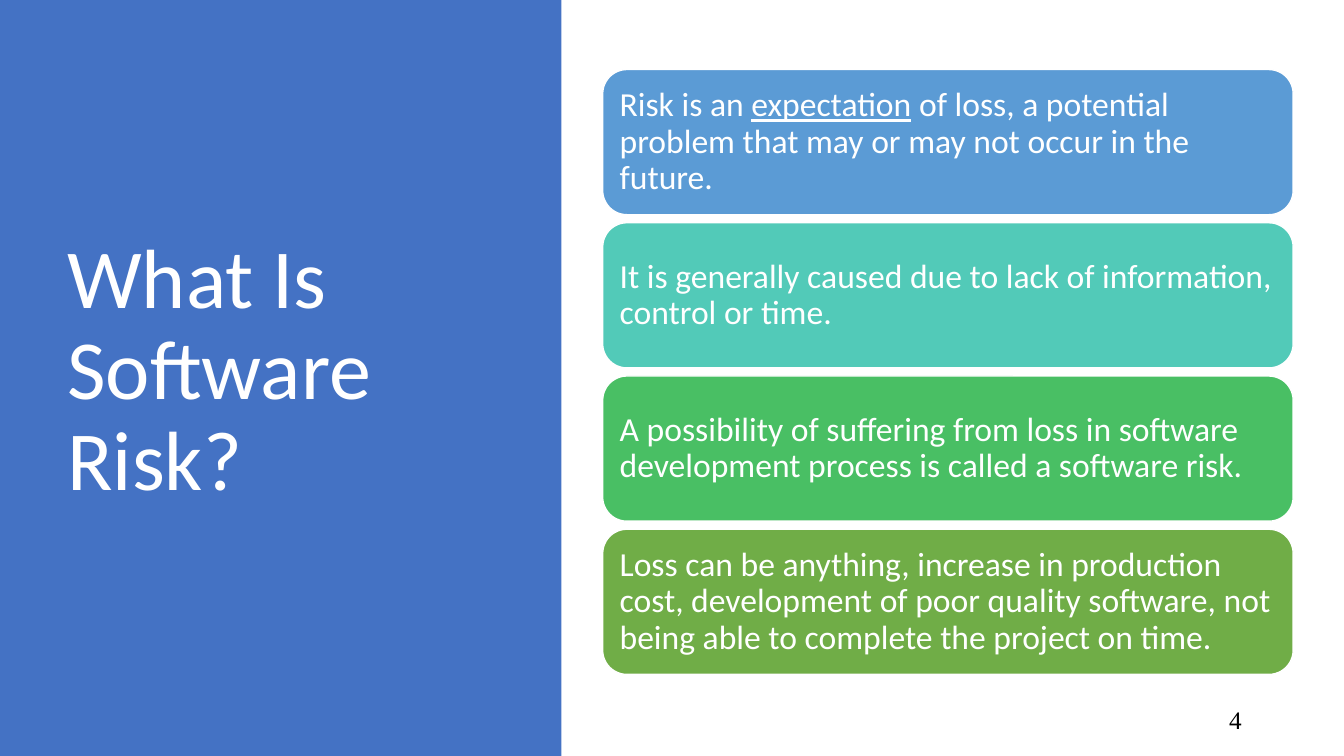
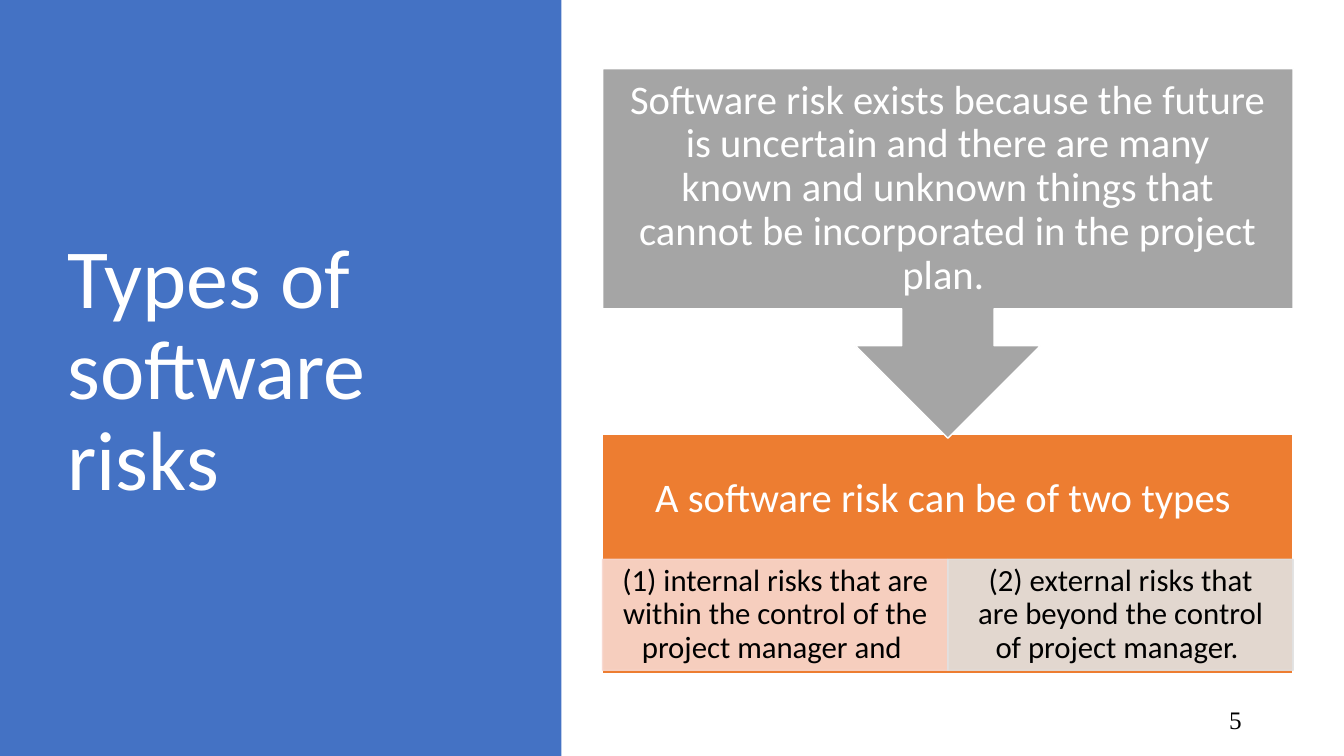
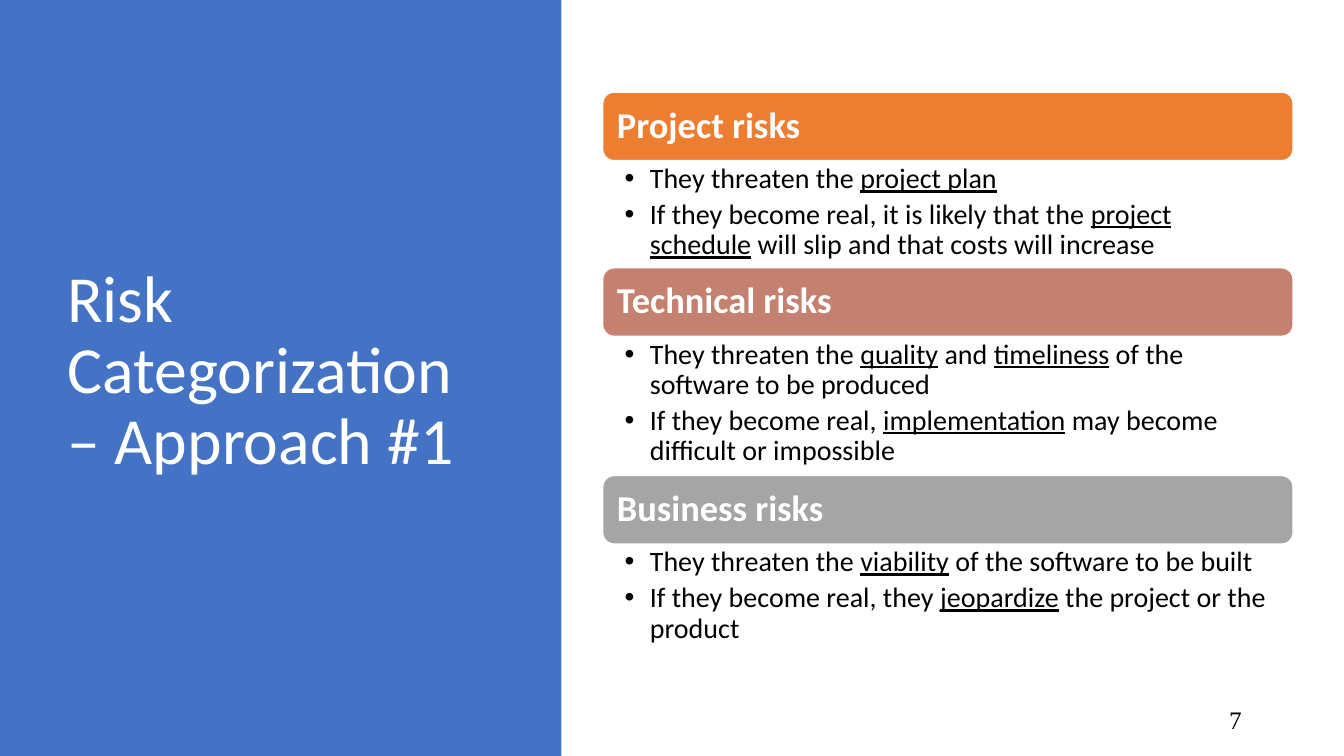
from dataclasses import dataclass

from lxml import etree
from pptx import Presentation
from pptx.dml.color import RGBColor
from pptx.enum.shapes import MSO_SHAPE
from pptx.enum.text import MSO_ANCHOR, PP_ALIGN
from pptx.oxml.ns import qn
from pptx.util import Pt

RECT, ROUND = MSO_SHAPE.RECTANGLE, MSO_SHAPE.ROUNDED_RECTANGLE
CALLOUT = MSO_SHAPE.DOWN_ARROW_CALLOUT
TOP, MIDDLE = MSO_ANCHOR.TOP, MSO_ANCHOR.MIDDLE
LEFT, CENTER, RIGHT = PP_ALIGN.LEFT, PP_ALIGN.CENTER, PP_ALIGN.RIGHT


@dataclass(frozen=True)
class Theme:
    # Colours
    white: str = "FFFFFF"
    black: str = "000000"
    panel: str = "4472C4"
    sky: str = "5B9BD5"
    teal: str = "52CAB8"
    green: str = "49BF64"
    olive: str = "70AD47"
    orange: str = "ED7D31"
    clay: str = "C48170"
    gray: str = "A5A5A5"
    peach: str = "F8D7CE"
    silver: str = "E1E1E1"
    # Fonts and type sizes
    font: str = "Calibri"
    number_font: str = "Times New Roman"
    title: float = 60
    long_title: float = 47
    statement: float = 29
    heading: float = 26
    card: float = 24
    detail: float = 22
    bullet: float = 20
    number: float = 18


T = Theme()

# Slide and content column, in points
SLIDE_W, SLIDE_H = 960, 540
PANEL_W = 401
COL_X, COL_W = 430.5, 493.2
DEFAULT_INSETS = (7.2, 3.6, 7.2, 3.6)


def set_formats(target, formats):
    for name, value in formats.items():
        setattr(target, name, value)


def add_runs(p, text, size, color, font=T.font, bold=False):
    """Add text as runs; words between underscores are underlined."""
    for i, part in enumerate(text.split("_")):
        if part:
            r = p.add_run()
            r.text = part
            formats = {"name": font, "size": Pt(size), "bold": bold}
            if i % 2:
                formats["underline"] = True
            set_formats(r.font, formats)
            r.font.color.rgb = RGBColor.from_string(color)


def add_bullet(p, indent=18):
    pPr = p._p.get_or_add_pPr()
    pPr.set("marL", str(Pt(indent)))
    pPr.set("indent", str(-Pt(indent)))
    etree.SubElement(pPr, qn("a:buFont")).set("typeface", "Arial")
    etree.SubElement(pPr, qn("a:buChar")).set("char", "•")


def write(sp, texts, size, color, insets=DEFAULT_INSETS, align=LEFT,
          anchor=MIDDLE, bullets=False, **run_formats):
    """Fill a shape or text box with one paragraph per text."""
    tf = sp.text_frame
    sides = ("margin_left", "margin_top", "margin_right", "margin_bottom")
    set_formats(tf, {"word_wrap": True, "vertical_anchor": anchor}
                | {side: Pt(v) for side, v in zip(sides, insets)})
    for i, text in enumerate(texts):
        p = tf.paragraphs[0] if i == 0 else tf.add_paragraph()
        set_formats(p, {"alignment": align, "line_spacing": 0.9})
        if bullets:
            p.space_after = Pt(4)
            add_bullet(p)
        add_runs(p, text, size, color, **run_formats)


def add_box(s, kind, x, y, w, h, fill, line=None, opacity=None):
    sp = s.shapes.add_shape(kind, Pt(x), Pt(y), Pt(w), Pt(h))
    sp.shadow.inherit = False
    sp.fill.solid()
    sp.fill.fore_color.rgb = RGBColor.from_string(fill)
    if line:
        sp.line.color.rgb = RGBColor.from_string(line)
        sp.line.width = Pt(1)
    else:
        sp.line.fill.background()
    if opacity:
        for color in sp._element.spPr.iter(qn("a:srgbClr")):
            etree.SubElement(color, qn("a:alpha")).set("val", str(opacity * 1000))
    return sp


def add_text(s, x, y, w, h, texts, size, color, **formats):
    sp = s.shapes.add_textbox(Pt(x), Pt(y), Pt(w), Pt(h))
    write(sp, texts, size, color, **formats)


def add_base(prs, title, number, size=T.title):
    """Start a slide with its blue title panel and slide number."""
    s = prs.slides.add_slide(prs.slide_layouts[6])
    add_box(s, RECT, 0, 0, PANEL_W, SLIDE_H, T.panel)
    add_text(s, 41, 49, 299.5, 433.5, [title], size, T.white)
    add_text(s, 678, 500.5, 216, 29, [number], T.number, T.black,
             align=RIGHT, font=T.number_font)
    return s


def add_cards(s, cards, top=49.7, height=103.7, gap=5.75):
    for i, (fill, text) in enumerate(cards):
        sp = add_box(s, ROUND, COL_X, top + i * (height + gap), COL_W, height,
                     fill, T.white)
        write(sp, [text], T.card, T.white, insets=(7.2,) * 4)


def add_split(s, heading, halves, top=310.5, height=171, split_top=399.6,
              split_height=79.2):
    """Heading block with equal tinted cells along its foot."""
    sp = add_box(s, RECT, COL_X, top, COL_W, height, T.orange, T.white)
    write(sp, [heading], T.statement, T.white,
          insets=(16.5, 16.5, 16.5, 95), align=CENTER)
    width = COL_W / len(halves)
    for i, (fill, text) in enumerate(halves):
        sp = add_box(s, RECT, COL_X + i * width, split_top, width, split_height,
                     fill, fill, opacity=90)
        write(sp, [text], T.detail, T.black, insets=(12.5, 2.2, 12.5, 2.2),
              align=CENTER)


def add_callout(s, text):
    sp = add_box(s, CALLOUT, COL_X, 49, COL_W, 264, T.gray, T.white)
    write(sp, [text], T.statement, T.white, insets=(16.5,) * 4, align=CENTER)


def add_sections(s, sections, y=65.75, head_h=49):
    """Stack heading bars, each followed by its bullets."""
    for fill, heading, body_h, bullets in sections:
        sp = add_box(s, ROUND, COL_X, y, COL_W, head_h, fill, T.white)
        write(sp, [heading], T.heading, T.white, insets=(7.8,) * 4, bold=True)
        add_text(s, COL_X, y + head_h, COL_W, body_h, bullets, T.bullet, T.black,
                 insets=(15.7, 2.6, 14.4, 2.6), anchor=TOP, bullets=True)
        y += head_h + body_h


def main():
    prs = Presentation()
    set_formats(prs, {"slide_width": Pt(SLIDE_W), "slide_height": Pt(SLIDE_H)})

    # Definition
    s = add_base(prs, "What Is Software Risk?", "4")
    add_cards(s, [
        (T.sky, "Risk is an _expectation_ of loss, a potential problem that may "
                "or may not occur in the future."),
        (T.teal, "It is generally caused due to lack of information, control or "
                 "time."),
        (T.green, "A possibility of suffering from loss in software development "
                  "process is called a software risk."),
        (T.olive, "Loss can be anything, increase in production cost, development "
                  "of poor quality software, not being able to complete the "
                  "project on time."),
    ])

    # Types
    s = add_base(prs, "Types of software risks", "5")
    add_split(s, "A software risk can be of two types ", [
        (T.peach, "(1) internal risks that are within the control of the project "
                  "manager and "),
        (T.silver, "(2) external risks that are beyond the control of project "
                   "manager. "),
    ])
    add_callout(s, "Software risk exists because the future is uncertain and there "
                   "are many known and unknown things that cannot be incorporated "
                   "in the project plan. ")

    # Categories
    s = add_base(prs, "Risk Categorization – Approach #1", "7", T.long_title)
    add_sections(s, [
        (T.orange, "Project risks", 76.5, [
            "They threaten the _project plan_",
            "If they become real, it is likely that the _project schedule_ will "
            "slip and that costs will increase"]),
        (T.clay, "Technical risks", 99.4, [
            "They threaten the _quality_ and _timeliness_ of the software to be "
            "produced",
            "If they become real, _implementation_ may become difficult or "
            "impossible"]),
        (T.gray, "Business risks", 76.5, [
            "They threaten the _viability_ of the software to be built",
            "If they become real, they _jeopardize_ the project or the product"]),
    ])

    prs.save("out.pptx")


if __name__ == "__main__":
    main()
